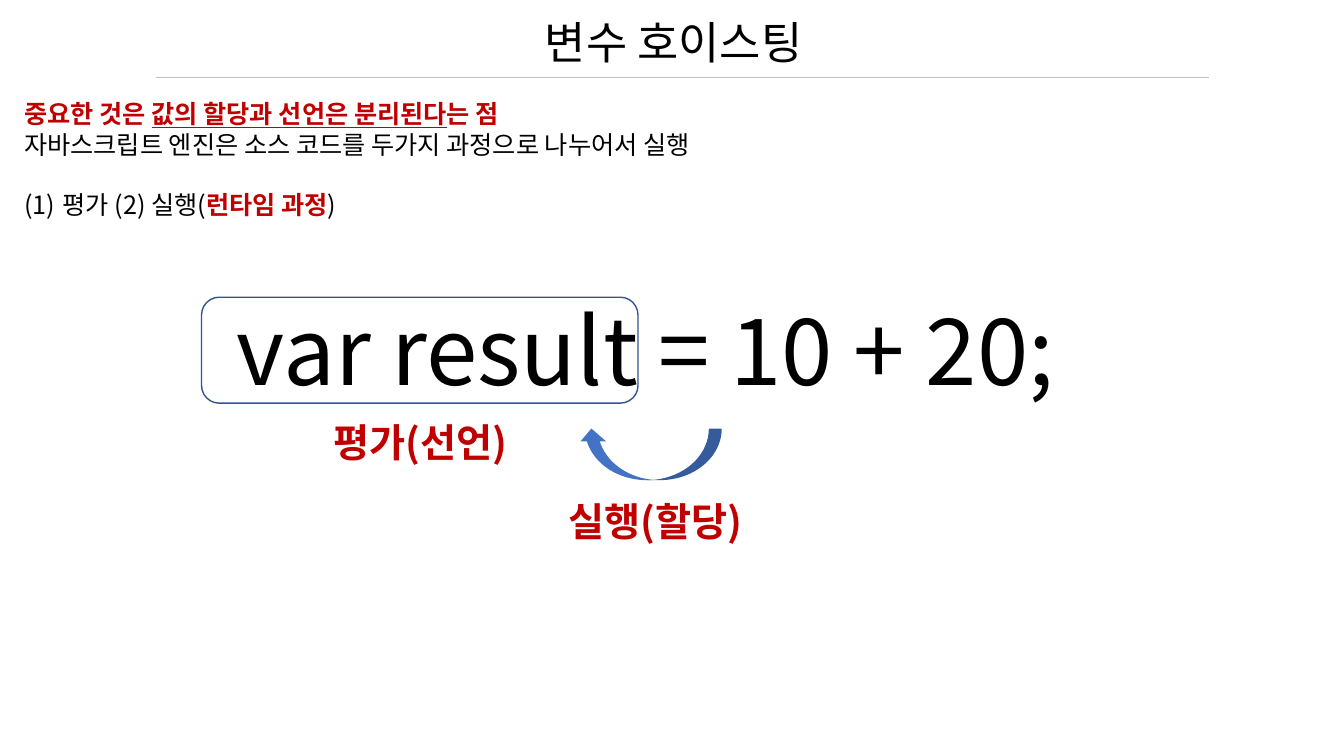
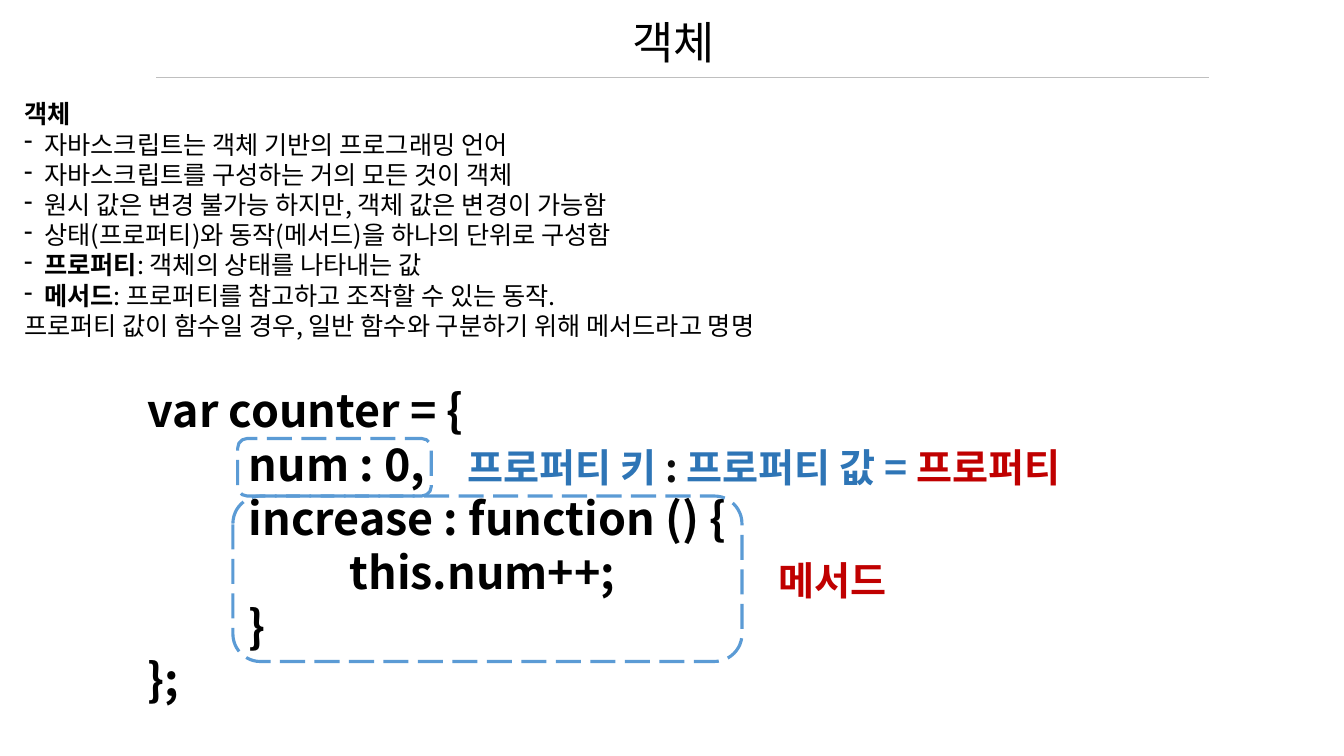
from dataclasses import dataclass

from lxml.etree import SubElement
from pptx import Presentation
from pptx.dml.color import RGBColor as Rgb
from pptx.enum.dml import MSO_LINE_DASH_STYLE as Dash
from pptx.enum.shapes import MSO_CONNECTOR as Connector, MSO_SHAPE as Shape
from pptx.enum.text import MSO_AUTO_SIZE as AutoSize, PP_ALIGN as Align
from pptx.oxml.ns import qn
from pptx.util import Cm, Pt


@dataclass(frozen=True)
class Theme:
    """Colours, type sizes and spacing shared by the slides."""

    font: str = "Noto Sans CJK KR"
    ink: str = "000000"
    colon: str = "0D0D0D"
    accent: str = "C00000"
    term: str = "2E75B6"
    rule: str = "BFBFBF"
    outline: str = "325491"
    arrow: str = "4472C4"
    dashed: str = "5B9BD5"
    title: int = 32
    body: int = 18
    label: int = 28
    code: int = 32
    expression: int = 66
    leading: float = 1.2
    tab: float = 2.54


THEME = Theme()


def add_span(para, text, *, size=THEME.body, color=THEME.ink, bold=False, underline=False):
    """Append formatted text to a paragraph."""
    span = para.add_run()
    span.text = text
    font = span.font
    font.size, font.bold, font.underline = Pt(size), bold, underline
    font.color.rgb = Rgb.from_string(color)
    font.name = THEME.font
    SubElement(font._element, qn("a:ea"), typeface=THEME.font)
    para.line_spacing = Pt(size * THEME.leading)


def add_spans(para, spans, **common):
    """Write (text, format) pairs over a common format."""
    for text, own in spans:
        add_span(para, text, **{**common, **own})


def indent(para, left, hanging=0):
    """Set the left margin and hanging indent in centimetres."""
    props = para._p.get_or_add_pPr()
    props.set("marL", str(Cm(left)))
    props.set("indent", str(-Cm(hanging)))
    return props


def add_dash(para):
    """Give a paragraph a dash bullet."""
    SubElement(indent(para, 0.51, 0.51), qn("a:buChar"), char="-")


def add_number(para):
    """Give a paragraph a number in parentheses."""
    SubElement(indent(para, 0.97, 0.97), qn("a:buAutoNum"), type="arabicParenBoth")


def add_text_box(shapes, left, top, width, height, lines, align=Align.LEFT, **common):
    """Add a wrapped text box and return its paragraphs."""
    box = shapes.add_textbox(Cm(left), Cm(top), Cm(width), Cm(height))
    frame = box.text_frame
    frame.word_wrap = True
    frame.auto_size = AutoSize.SHAPE_TO_FIT_TEXT
    for number, spans in enumerate(lines):
        para = frame.add_paragraph() if number else frame.paragraphs[0]
        para.alignment = align
        add_spans(para, spans, **common)
    return frame.paragraphs


def add_label(shapes, left, top, width, height, text):
    """Add a centred red label."""
    add_text_box(shapes, left, top, width, height, [[(text, {})]], Align.CENTER,
                 size=THEME.label, color=THEME.accent, bold=True)


def add_frame(shapes, left, top, width, height, color, weight, dash=None):
    """Add an unfilled rounded frame."""
    box = shapes.add_shape(Shape.ROUNDED_RECTANGLE, Cm(left), Cm(top), Cm(width), Cm(height))
    box.shadow.inherit = False
    box.fill.background()
    box.line.color.rgb = Rgb.from_string(color)
    box.line.width = Pt(weight)
    box.line.dash_style = dash


def add_return_arrow(shapes, left, top, width, height):
    """Add a curved arrow that runs from right to left."""
    arrow = shapes.add_shape(Shape.CURVED_UP_ARROW, Cm(left), Cm(top), Cm(width), Cm(height))
    arrow.shadow.inherit = False
    arrow.fill.solid()
    arrow.fill.fore_color.rgb = Rgb.from_string(THEME.arrow)
    arrow.line.fill.background()
    arrow._element.spPr.get_or_add_xfrm().set("flipH", "1")


def add_page(deck, title):
    """Add a blank slide with the shared title and rule."""
    page = deck.slides.add_slide(deck.slide_layouts[6])
    rule = page.shapes.add_connector(Connector.STRAIGHT, Cm(3.94), Cm(1.96), Cm(30.48), Cm(1.96))
    rule.line.color.rgb = Rgb.from_string(THEME.rule)
    rule.line.width = Pt(0.5)
    SubElement(rule._element.spPr, qn("a:effectLst"))
    add_text_box(page.shapes, 3.48, 0.25, 27, 1.63, [[(title, {})]], Align.CENTER, size=THEME.title)
    return page


def add_body(page, height, lines):
    """Add the explanation below the title."""
    return add_text_box(page.shapes, 0.36, 2.36, 33.15, height, lines)


def build_hoisting(deck):
    """Build the variable hoisting slide."""
    page = add_page(deck, "변수 호이스팅")
    strong = {"color": THEME.accent, "bold": True}
    paras = add_body(page, 4.11, [
        [("중요한 것은 ", strong),
         ("값의 할당과 선언은 분리된다", {**strong, "underline": True}),
         ("는 점", strong)],
        [("자바스크립트 엔진은 소스 코드를 두가지 과정으로 나누어서 실행", {})],
        [("평가 (2) 실행(", {}), ("런타임 과정", strong), (")", {})],
    ])
    paras[-1].space_before = Pt(THEME.body * THEME.leading)
    add_number(paras[-1])

    diagram = page.shapes.add_group_shape().shapes
    add_text_box(diagram, 3.48, 7.26, 25.58, 2.67, [[("var result = 10 + 20;", {})]],
                 Align.CENTER, size=THEME.expression)
    add_frame(diagram, 5.08, 7.49, 11, 2.67, THEME.outline, 1)
    add_label(diagram, 7.65, 10.41, 5.89, 1.27, "평가(선언)")
    add_return_arrow(diagram, 14.58, 10.8, 3.61, 1.3)
    add_label(diagram, 13.13, 12.4, 6.76, 1.27, "실행(할당)")


def build_object(deck):
    """Build the object slide."""
    page = add_page(deck, "객체")
    bold = {"bold": True}
    paras = add_body(page, 6.4, [
        [("객체", bold)],
        [("자바스크립트는 객체 기반의 프로그래밍 언어", {})],
        [("자바스크립트를 구성하는 거의 모든 것이 객체", {})],
        [("원시 값은 변경 불가능 하지만, 객체 값은 변경이 가능함", {})],
        [("상태(프로퍼티)와 동작(메서드)을 하나의 단위로 구성함", {})],
        [("프로퍼티", bold), (": 객체의 상태를 나타내는 값", {})],
        [("메서드", bold), (": 프로퍼티를 참고하고 조작할 수 있는 동작.", {})],
        [("프로퍼티 값이 함수일 경우, 일반 함수와 구분하기 위해 메서드라고 명명", {})],
    ])
    for para in paras[1:-1]:
        add_dash(para)

    code = [(0, "var counter = {"), (1, "num : 0,"), (1, "increase : function () {"),
            (2, "this.num++;"), (1, "}"), (0, "};")]
    paras = add_text_box(page.shapes, 3.48, 9.53, 29.13, 8.46,
                         [[(text, {})] for _, text in code], size=THEME.code, bold=True)
    for para, (depth, _) in zip(paras, code):
        indent(para, depth * THEME.tab)

    term = {"color": THEME.term}
    add_text_box(page.shapes, 11.53, 11.05, 18.9, 1.45, [[
        ("프로퍼티 키", term), (" : ", {"color": THEME.colon}),
        ("프로퍼티 값 = ", term), ("프로퍼티", {"color": THEME.accent}),
    ]], size=THEME.label, bold=True)
    for place in ((5.99, 11.05, 4.88, 1.45), (5.87, 12.5, 12.83, 4.17)):
        add_frame(page.shapes, *place, THEME.dashed, 2.25, Dash.LONG_DASH)
    add_label(page.shapes, 19.2, 13.89, 3.56, 1.45, "메서드")


def main():
    """Build and save the deck."""
    deck = Presentation()
    deck.slide_width, deck.slide_height = Cm(33.87), Cm(19.05)
    build_hoisting(deck)
    build_object(deck)
    deck.save("out.pptx")


if __name__ == "__main__":
    main()
